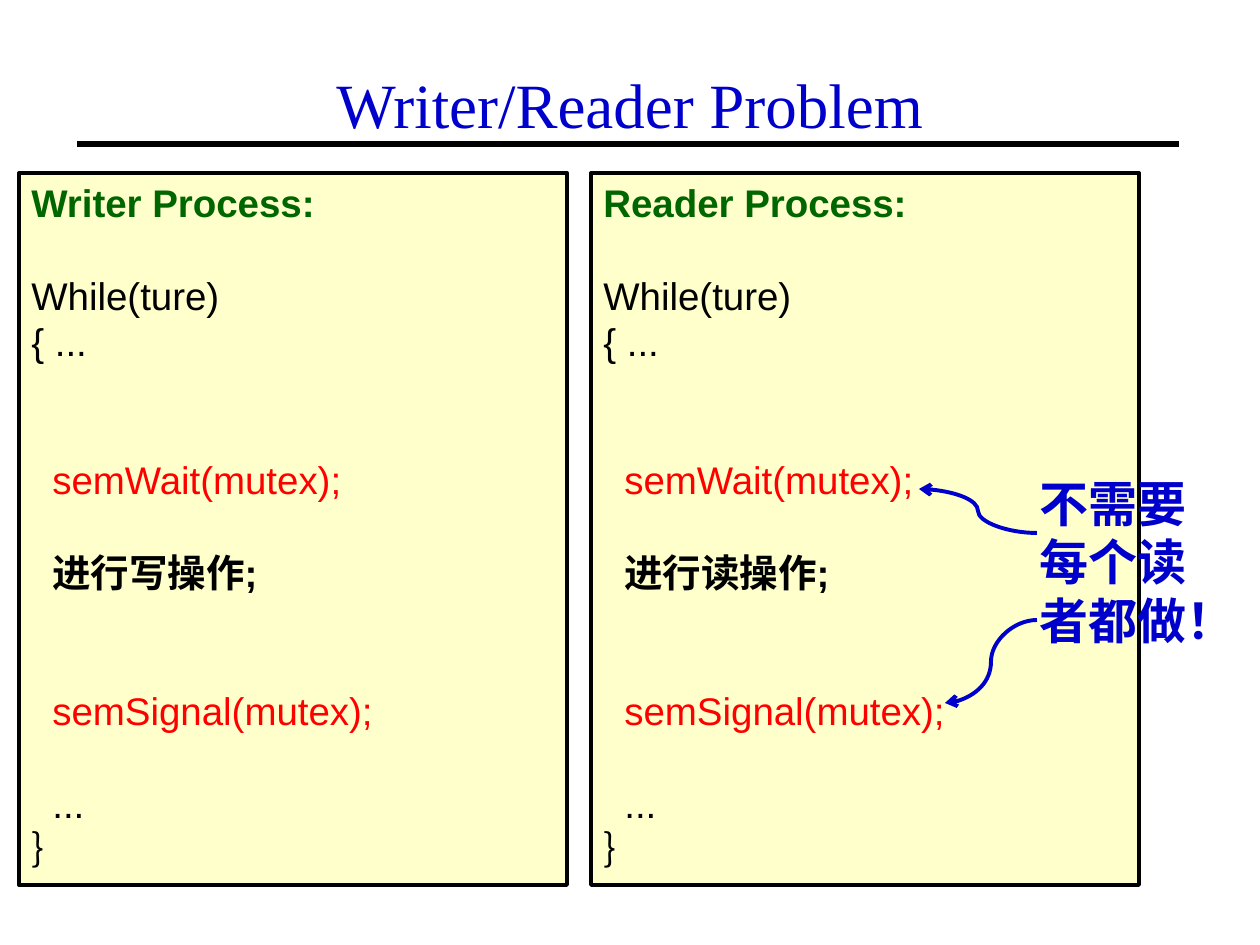
from pptx import Presentation
from pptx.dml.color import RGBColor
from pptx.enum.shapes import MSO_CONNECTOR, MSO_SHAPE
from pptx.enum.text import MSO_ANCHOR, PP_ALIGN
from pptx.oxml.ns import qn
from pptx.util import Pt
from lxml.etree import SubElement

SCALE = 914400 / 126
LINE = 26.4
INK = {"blue": "0000CC", "green": "006600", "red": "FF0000",
       "black": "000000", "cream": "FFFFCC", "white": "FFFFFF"}


def px(n):
    return round(n * SCALE)


def tint(name):
    return RGBColor.from_string(INK[name])


def add_run(para, text, size, color, bold=False, face="Arial"):
    run = para.add_run()
    run.text = text
    font = run.font
    font.name, font.size, font.bold = face, Pt(size), bold
    font.color.rgb = tint(color)


def set_title(slide, text):
    title = slide.shapes.title
    title.left, title.top, title.width, title.height = map(px, (63, 24, 1134, 158))
    frame = title.text_frame
    frame.vertical_anchor = MSO_ANCHOR.MIDDLE
    para = frame.paragraphs[0]
    para.alignment = PP_ALIGN.CENTER
    add_run(para, text, 36, "blue", face="Times New Roman")


def add_line(slide, kind, start, end, color, width, arrow=False):
    line = slide.shapes.add_connector(kind, *map(px, start + end))
    line.line.color.rgb = tint(color)
    line.line.width = Pt(width)
    if arrow:
        SubElement(line.line._get_or_add_ln(), qn("a:tailEnd"), type="arrow")
    SubElement(line._element.spPr, qn("a:effectLst"))


def add_code(slide, left, role, work):
    box = slide.shapes.add_shape(MSO_SHAPE.RECTANGLE, *map(px, (left, 173, 548, 712)))
    box.shadow.inherit = False
    box.fill.solid()
    box.fill.fore_color.rgb = tint("cream")
    box.line.color.rgb = tint("black")
    box.line.width = Pt(2.25)
    frame = box.text_frame
    frame.word_wrap = True
    frame.vertical_anchor = MSO_ANCHOR.TOP
    rows = [
        (f"{role} Process:", "green", True, 0, 0),
        ("While(ture)", "black", False, 0, 1),
        ("{ ...", "black", False, 0, 0),
        ("semWait(mutex);", "red", False, 21, 2),
        (work, "black", True, 21, 1),
        ("semSignal(mutex);", "red", False, 21, 2),
        ("...", "black", False, 21, 1),
        ("｝", "black", False, 0, 0),
    ]
    for i, (text, color, bold, indent, gap) in enumerate(rows):
        para = frame.add_paragraph() if i else frame.paragraphs[0]
        para.alignment = PP_ALIGN.LEFT
        para.line_spacing = Pt(LINE)
        para.space_before = Pt(gap * LINE)
        para._p.get_or_add_pPr().set("marL", str(px(indent)))
        add_run(para, text, 22, color, bold)


def add_note(slide, text):
    box = slide.shapes.add_textbox(*map(px, (1027, 467, 189, 190)))
    box.text_frame.word_wrap = True
    add_run(box.text_frame.paragraphs[0], text, 28, "blue", True)


def main():
    deck = Presentation()
    deck.slide_width, deck.slide_height = px(1260), px(945)
    slide = deck.slides.add_slide(deck.slide_layouts[5])
    slide.background.fill.solid()
    slide.background.fill.fore_color.rgb = tint("white")
    add_line(slide, MSO_CONNECTOR.STRAIGHT, (77, 144), (1179, 144), "black", 3)
    set_title(slide, "Writer/Reader Problem")
    add_code(slide, 591, "Reader", "进行读操作;")
    add_note(slide, "不需要每个读者都做！")
    for start, end in (((1037, 533), (919, 489)), ((1037, 620), (945, 703))):
        add_line(slide, MSO_CONNECTOR.CURVE, start, end, "blue", 2.25, True)
    add_code(slide, 19, "Writer", "进行写操作;")
    deck.save("out.pptx")


if __name__ == "__main__":
    main()
